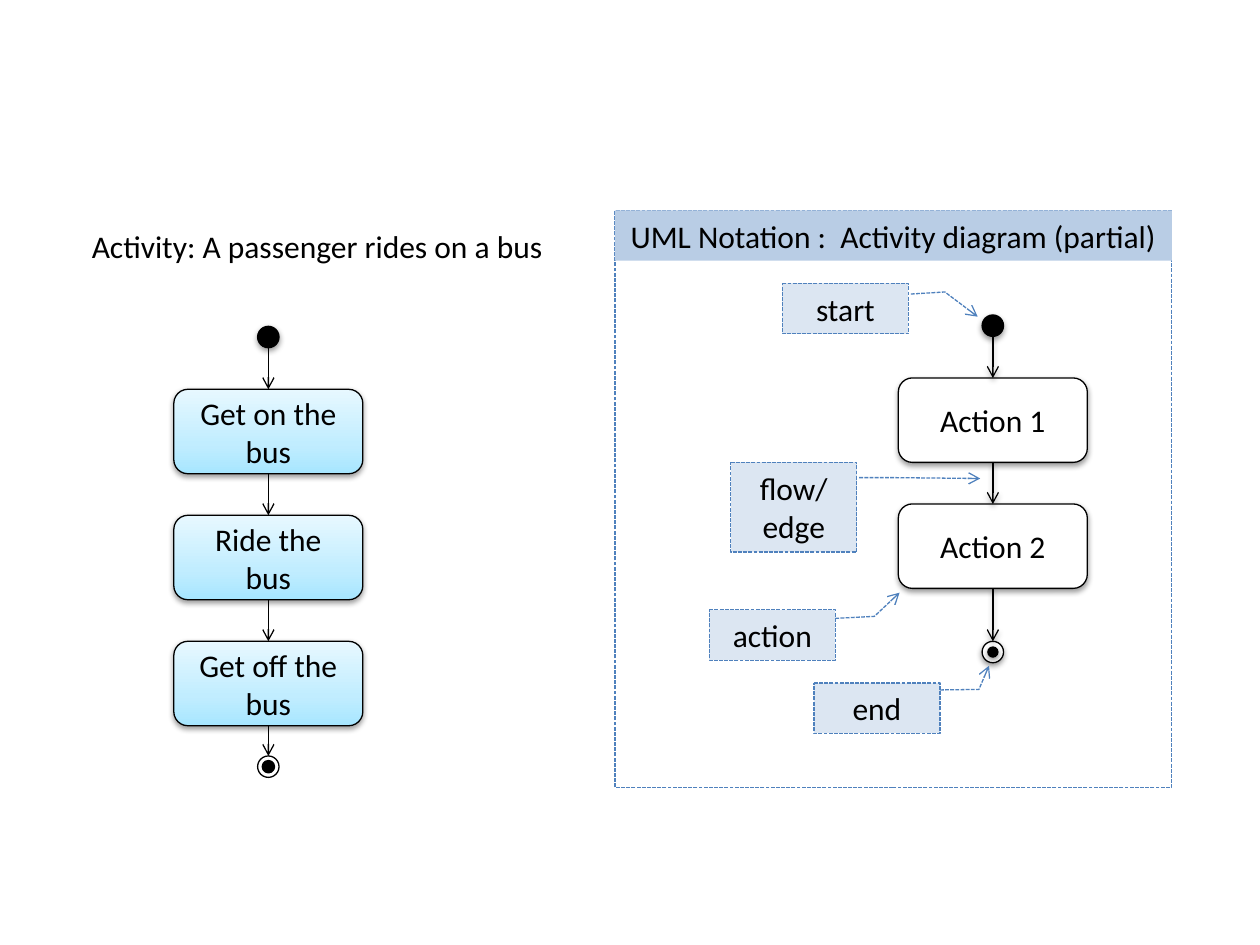
from copy import deepcopy

from lxml import etree
from pptx import Presentation
from pptx.dml.color import RGBColor
from pptx.enum.dml import MSO_LINE
from pptx.enum.shapes import MSO_CONNECTOR, MSO_SHAPE
from pptx.enum.text import MSO_ANCHOR, MSO_AUTO_SIZE, PP_ALIGN
from pptx.oxml import parse_xml
from pptx.oxml.ns import nsdecls, qn
from pptx.util import Inches, Pt

ROUNDED, ELLIPSE, RECTANGLE = MSO_SHAPE.ROUNDED_RECTANGLE, MSO_SHAPE.OVAL, MSO_SHAPE.RECTANGLE
CALLOUT = MSO_SHAPE.LINE_CALLOUT_2
STRAIGHT = MSO_CONNECTOR.STRAIGHT
DASH = MSO_LINE.SQUARE_DOT
FIT = MSO_AUTO_SIZE.SHAPE_TO_FIT_TEXT
COLORS = {name: RGBColor.from_string(value) for name, value in {
    "black": "000000", "white": "FFFFFF", "blue": "4F81BD",
    "header": "B9CDE5", "label": "DCE6F2",
    "bottom": "A7E6FF", "middle": "C1EDFF", "top": "E7F8FF",
}.items()}
SHADOW = (f'<a:outerShdw {nsdecls("a")} blurRad="40000" dist="20000" dir="5400000" '
          'rotWithShape="0"><a:srgbClr val="000000"><a:alpha val="38000"/>'
          '</a:srgbClr></a:outerShdw>')

presentation = Presentation()
presentation.slide_width, presentation.slide_height = Inches(10), Inches(7.5)
slide = presentation.slides.add_slide(presentation.slide_layouts[6])
shapes = slide.shapes


def add_box(kind, left, top, width, height, fill=None, line="black", text="", shadow=False):
    """Add a preset shape with a thin line, centred text and an optional soft shadow."""
    shape = shapes.add_shape(kind, Inches(left), Inches(top), Inches(width), Inches(height))
    shape.shadow.inherit = False
    if shadow:
        shape._element.spPr.find(qn("a:effectLst")).append(parse_xml(SHADOW))
    if fill:
        shape.fill.solid()
        shape.fill.fore_color.rgb = COLORS[fill]
    else:
        shape.fill.background()
    if line:
        shape.line.color.rgb = COLORS[line]
        shape.line.width = Pt(0.75)
    else:
        shape.line.fill.background()
    if text:
        shape.text_frame.vertical_anchor = MSO_ANCHOR.MIDDLE
        paragraph = shape.text_frame.paragraphs[0]
        paragraph.text = text
        paragraph.alignment = PP_ALIGN.CENTER
        paragraph.font.size, paragraph.font.name = Pt(18), "Calibri"
        paragraph.font.color.rgb = COLORS["black"]
    return shape


def add_flow(center, top, bottom, shadow):
    """Draw a downward arrow between two nodes."""
    flow = shapes.add_connector(STRAIGHT, Inches(center), Inches(top),
                                Inches(center), Inches(bottom))
    flow.line.color.rgb = COLORS["black"]
    flow.line.width = Pt(0.75)
    etree.SubElement(flow.line._get_or_add_ln(), qn("a:tailEnd"), type="arrow")
    effects = etree.SubElement(flow._element.spPr, qn("a:effectLst"))
    if shadow:
        effects.append(parse_xml(SHADOW))


# Notation panel
panel = add_box(RECTANGLE, 4.88, 1.67, 4.42, 4.58, line="blue")
panel.line.dash_style = DASH
header = add_box(RECTANGLE, 4.88, 1.67, 4.42, 0.4, "header", None,
                 "UML Notation :  Activity diagram (partial)")
header.text_frame.auto_size = FIT

# Both diagrams: center, start top, first action top, end top, dot line, panel side, actions
DIAGRAMS = [
    (2.13, 2.59, 3.09, 6, 2, False, ["Get on the bus", "Ride the bus", "Get off the bus"]),
    (7.88, 2.5, 3, 5.09, 0.75, True, ["Action 1", "Action 2"]),
]
ACTION_WIDTH, ACTION_HEIGHT, NODE, DOT = 1.5, 0.67, 0.17, 0.08
for center, start, first, end, dot_line, in_panel, actions in DIAGRAMS:
    node_left = center - NODE / 2
    add_box(ELLIPSE, node_left, start, NODE, NODE, "black", shadow=True)
    flow_top = start + NODE
    for index, action in enumerate(actions):
        top = first + index
        box = add_box(ROUNDED, center - ACTION_WIDTH / 2, top, ACTION_WIDTH, ACTION_HEIGHT,
                      "white", text=action, shadow=True)
        if not in_panel:
            box.fill.gradient()
            box.fill.gradient_angle = 90
            stops = box.fill.gradient_stops
            first_stop = stops[0]._gs
            first_stop.addnext(deepcopy(first_stop))
            gradient = zip(box.fill.gradient_stops, (0, 0.35, 1), ("bottom", "middle", "top"))
            for stop, position, color in gradient:
                stop.position = position
                stop.color.rgb = COLORS[color]
        add_flow(center, flow_top, top, in_panel)
        flow_top = top + ACTION_HEIGHT
    add_box(ELLIPSE, node_left, end, NODE, NODE, "white", shadow=in_panel)
    inset = (NODE - DOT) / 2
    dot = add_box(ELLIPSE, node_left + inset, end + inset, DOT, DOT, "black", shadow=in_panel)
    dot.line.width = Pt(dot_line)
    add_flow(center, flow_top, end, in_panel)

# Callouts: text, left, top, height, leader points as (y, x) fractions of the box
CALLOUTS = [
    ("start", 6.21, 2.25, 0.4, (0.21, 1.02, 0.17, 1.29, 0.66, 1.55)),
    ("end", 6.46, 5.42, 0.4, (0.14, 1, 0.13, 1.31, -0.34, 1.39)),
    ("flow/\nedge", 5.8, 3.67, 0.71, (0.17, 1.02, 0.17, 1.29, 0.18, 1.98)),
    ("action", 5.63, 4.84, 0.4, (0.17, 1, 0.13, 1.31, -0.34, 1.51)),
]
for text, left, top, height, leader in CALLOUTS:
    callout = add_box(CALLOUT, left, top, 1, height, "label", "blue", text)
    callout.line.dash_style = DASH
    etree.SubElement(callout.line._get_or_add_ln(), qn("a:tailEnd"), type="arrow")
    callout.text_frame.auto_size = FIT
    for index, value in enumerate(leader):
        callout.adjustments[index] = value

# Caption of the left diagram
caption = shapes.add_textbox(Inches(0.63), Inches(1.75), Inches(3.82), Inches(0.4))
caption.text_frame.word_wrap = False
caption.text_frame.auto_size = FIT
paragraph = caption.text_frame.paragraphs[0]
paragraph.text = "Activity: A passenger rides on a bus"
paragraph.font.size, paragraph.font.name = Pt(18), "Calibri"
paragraph.font.color.rgb = COLORS["black"]

presentation.save("out.pptx")
